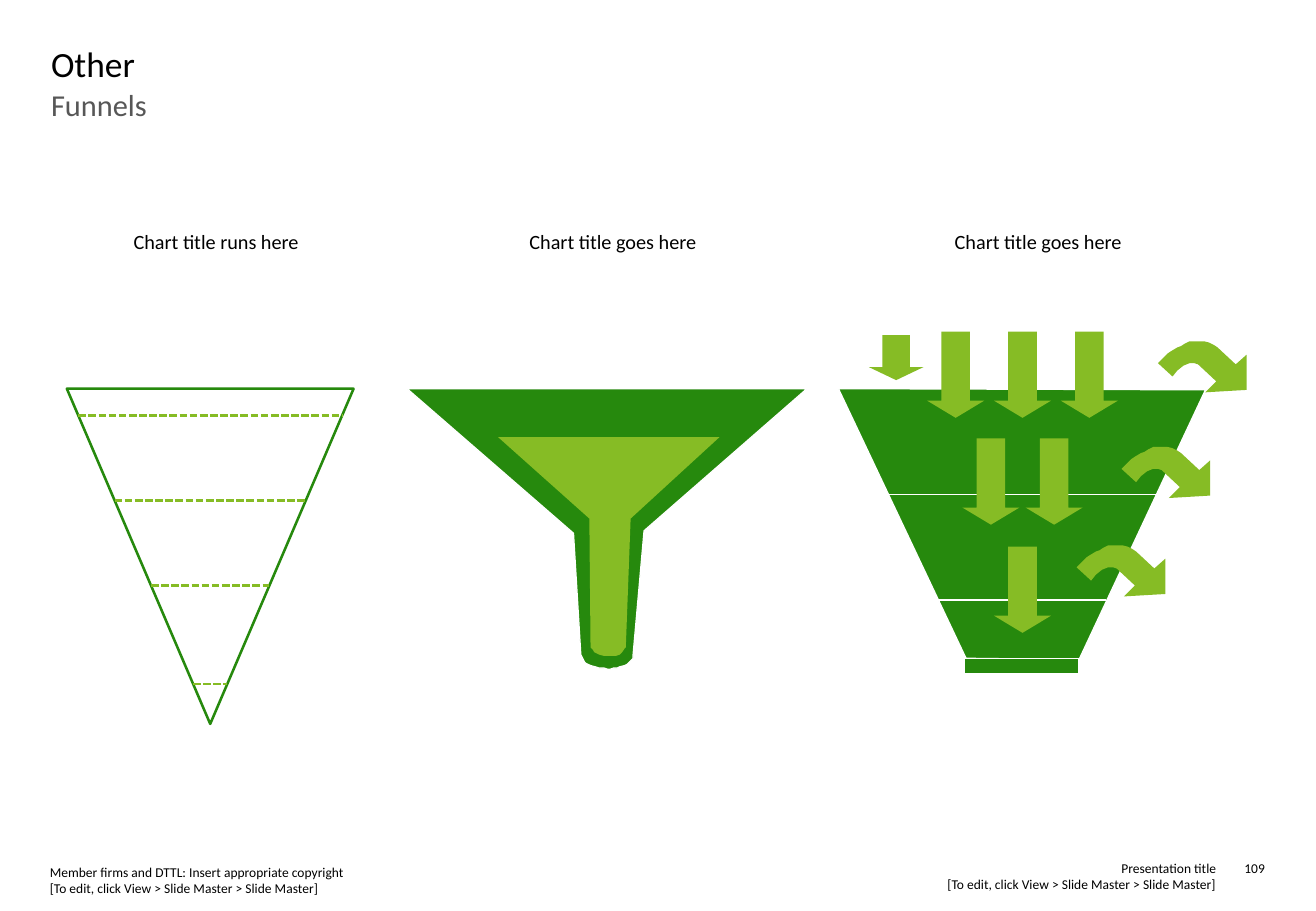
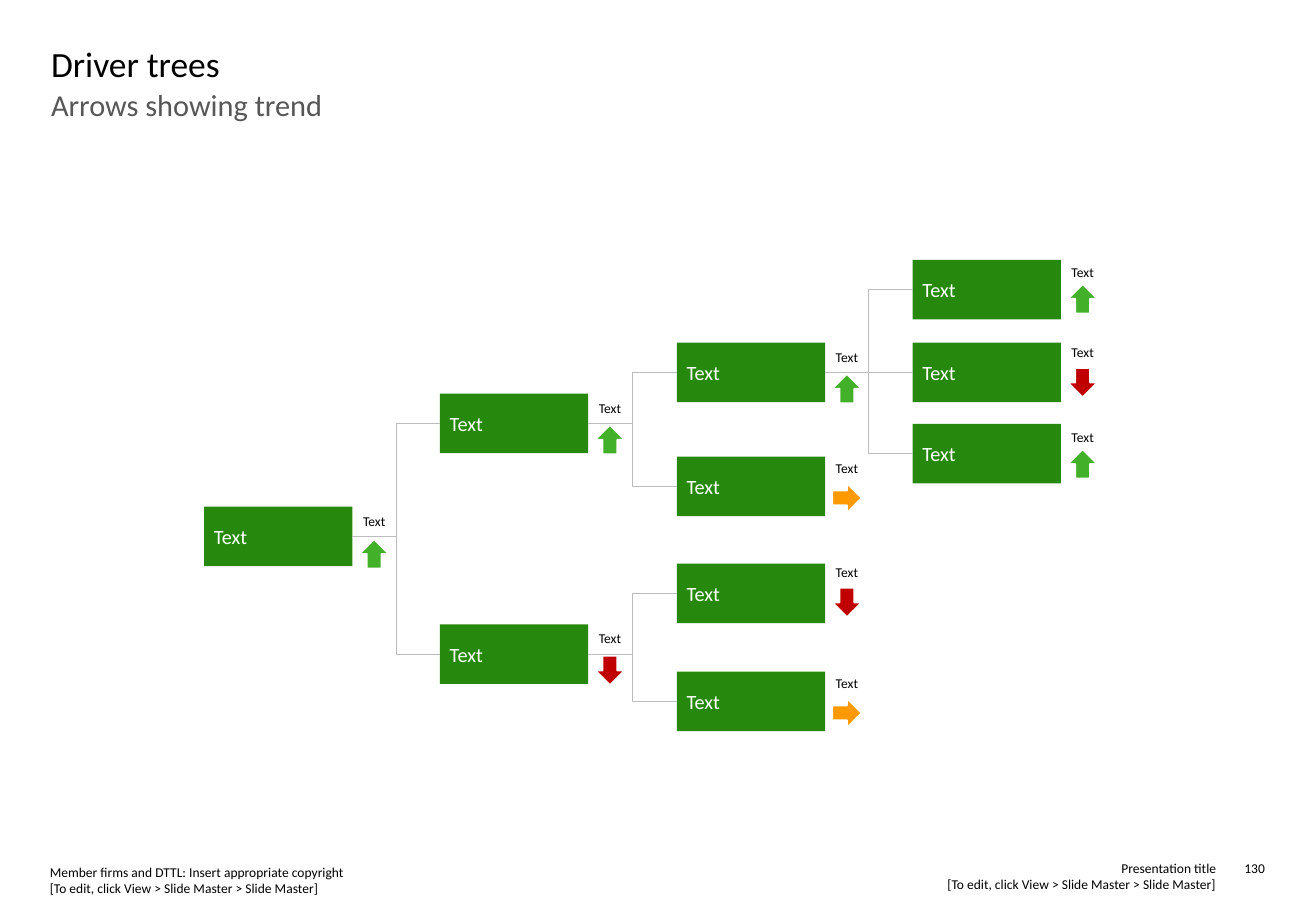
"""Build two slides: a set of funnels and a driver tree."""
from pptx import Presentation
from pptx.dml.color import RGBColor
from pptx.enum.dml import MSO_LINE
from pptx.enum.shapes import MSO_CONNECTOR, MSO_SHAPE
from pptx.enum.text import MSO_ANCHOR, MSO_AUTO_SIZE, PP_ALIGN
from pptx.oxml.xmlchemy import OxmlElement
from pptx.util import Pt

PX = 9144
FONT = "Calibri"
BLACK = RGBColor(0x00, 0x00, 0x00)
WHITE = RGBColor(0xFF, 0xFF, 0xFF)
GRAY = RGBColor(0x57, 0x57, 0x57)
SILVER = RGBColor(0xBB, 0xBC, 0xBC)
GREEN = RGBColor(0x26, 0x89, 0x0D)
LIME = RGBColor(0x86, 0xBC, 0x25)
LEAF = RGBColor(0x43, 0xB0, 0x2A)
RED = RGBColor(0xC0, 0x00, 0x00)
AMBER = RGBColor(0xFF, 0x99, 0x00)

HINT = "[To edit, click View > Slide Master > Slide Master]"
FOOTERS = [
    ("Presentation title\v" + HINT, (566, 708, 435, 27), PP_ALIGN.RIGHT),
    ("Member firms and DTTL: Insert appropriate copyright\v" + HINT,
     (41, 711, 476, 27), PP_ALIGN.LEFT),
]

HEADS = [
    ("Chart title runs here", (88, 189, 180, 18)),
    ("Chart title goes here", (378, 189, 253, 18)),
    ("Chart title goes here", (728, 189, 253, 18)),
]
CONE = (55, 320, 236, 276)
DASHES = [342, 412, 482, 563]
OUTER = [
    (335, 320), (472, 439), (478, 539), (479, 541), (480, 543), (481, 545),
    (482, 546), (484, 547), (486, 548), (490, 549), (493, 550), (497, 550),
    (500, 551), (502, 551), (505, 550), (508, 550), (510, 549), (514, 548),
    (516, 547), (518, 545), (519, 544), (521, 542), (521, 539), (530, 437),
    (664, 320),
]
INNER = [
    (410, 360), (485, 427), (486, 533), (488, 535), (489, 537), (491, 538),
    (493, 539), (497, 540), (501, 540), (504, 540), (507, 540), (510, 539),
    (512, 537), (514, 534), (515, 533), (519, 427), (592, 360),
]
BUCKET = [(690, 320), (795, 542), (888, 543), (992, 321)]
SPOUT = (794, 542, 94, 13)
SEAMS = [320, 407, 494]
DROPS = [(763, 273), (818, 273), (873, 273), (792, 361), (844, 361), (818, 450)]
BEND = [
    (73, 11), (73, 40), (39, 42), (48, 33), (33, 19), (30, 18), (26, 18),
    (21, 20), (16, 24), (12, 29), (0, 18), (8, 10), (11, 8), (16, 5),
    (19, 4), (22, 2), (26, 0), (30, 0), (35, 0), (38, 0), (42, 1),
    (46, 3), (49, 5), (64, 19),
]
EXITS = [(923, 368), (886, 449), (953, 281)]

TRENDS = {
    "up": (MSO_SHAPE.UP_ARROW, LEAF),
    "down": (MSO_SHAPE.DOWN_ARROW, RED),
    "flat": (MSO_SHAPE.RIGHT_ARROW, AMBER),
}
NODES = [
    (0, 417, 422, 444, "up", None),
    (1, 324, 329, 350, "up", 0),
    (1, 514, 519, 540, "down", 0),
    (2, 282, 287, 308, "up", 1),
    (2, 376, 379, 398, "flat", 1),
    (2, 464, 464, 484, "down", 2),
    (2, 553, 556, 575, "flat", 2),
    (3, 214, 217, 234, "up", 3),
    (3, 282, 283, 303, "down", 3),
    (3, 349, 353, 370, "up", 3),
]


def scale(*nums):
    return [round(num * PX) for num in nums]


def write(shape, text, size=8, color=BLACK, align=PP_ALIGN.LEFT,
          anchor=MSO_ANCHOR.TOP, inset=0):
    frame = shape.text_frame
    frame.word_wrap = True
    frame.auto_size = MSO_AUTO_SIZE.NONE
    frame.vertical_anchor = anchor
    frame.margin_left = frame.margin_right = inset * PX
    frame.margin_top = frame.margin_bottom = inset * PX
    para = frame.paragraphs[0]
    para.text = text
    para.alignment = align
    para.space_before = Pt(0)
    for run in para.runs:
        run.font.name = FONT
        run.font.size = Pt(size)
        run.font.color.rgb = color


def label(slide, text, box, **style):
    write(slide.shapes.add_textbox(*scale(*box)), text, **style)


def paint(shape, fill, edge=None, width=0.75):
    shape.shadow.inherit = False
    shape.fill.solid()
    shape.fill.fore_color.rgb = fill
    if edge is None:
        shape.line.fill.background()
    else:
        shape.line.color.rgb = edge
        shape.line.width = Pt(width)
    return shape


def block(slide, kind, box, fill, edge=None, width=0.75):
    return paint(slide.shapes.add_shape(kind, *scale(*box)), fill, edge, width)


def trace(slide, points, fill, edge=None):
    pen = slide.shapes.build_freeform(*points[0], scale=PX)
    pen.add_line_segments(points[1:], close=True)
    return paint(pen.convert_to_shape(), fill, edge)


def rule(slide, ends, color, width, kind=MSO_CONNECTOR.STRAIGHT):
    link = slide.shapes.add_connector(kind, *scale(*ends))
    link.line.color.rgb = color
    link.line.width = Pt(width)
    link._element.spPr.append(OxmlElement("a:effectLst"))
    return link


def place(shape, box):
    shape.left, shape.top, shape.width, shape.height = scale(*box)


def start(deck, title, lead, page):
    slide = deck.slides.add_slide(deck.slide_layouts[1])
    for text, box, align in FOOTERS + [(page, (1014, 708, 27, 13), PP_ALIGN.RIGHT)]:
        label(slide, text, box, align=align)
    head, body = slide.placeholders[0], slide.placeholders[1]
    place(head, (42, 33, 995, 38))
    write(head, title, size=21, anchor=MSO_ANCHOR.MIDDLE)
    place(body, (42, 71, 995, 83))
    props = body.text_frame.paragraphs[0]._p.get_or_add_pPr()
    props.set("marL", "0")
    props.set("indent", "0")
    props.append(OxmlElement("a:buNone"))
    write(body, lead, size=18, color=GRAY)
    return slide


def draw_cone(slide):
    left, top, width, height = CONE
    block(slide, MSO_SHAPE.ISOSCELES_TRIANGLE, CONE, WHITE, GREEN, 1.5).rotation = 180
    mid = left + width / 2
    for y in DASHES:
        half = width / 2 * (top + height - y) / height
        dash = rule(slide, (mid - half, y, mid + half, y), LIME, 1.5)
        dash.line.dash_style = MSO_LINE.SQUARE_DOT


def draw_bucket(slide):
    trace(slide, BUCKET, GREEN, WHITE)
    block(slide, MSO_SHAPE.RECTANGLE, SPOUT, GREEN, WHITE)
    (left, top), (low, base), (high, _), (right, _) = BUCKET
    for y in SEAMS:
        part = (y - top) / (base - top)
        ends = left + (low - left) * part, y, right + (high - right) * part, y
        rule(slide, ends, WHITE, 0.75)
    drops = [((715, 276, 45, 37), 0.29)] + [((x, y, 47, 71), 0.3) for x, y in DROPS]
    for box, tip in drops:
        block(slide, MSO_SHAPE.DOWN_ARROW, box, LIME).adjustments[1] = tip
    for left, top in EXITS:
        trace(slide, [(left + x, top + y) for x, y in BEND], LIME)


def draw_tree(slide):
    lefts = [round(168 + 194.4 * node[0]) for node in NODES]
    boxes = []
    for left, node in zip(lefts, NODES):
        box = block(slide, MSO_SHAPE.RECTANGLE, (left, node[1], 122, 49), GREEN)
        write(box, "Text", size=12, color=WHITE, anchor=MSO_ANCHOR.MIDDLE, inset=8)
        boxes.append(box)
    for box, node in zip(boxes, NODES):
        if node[-1] is not None:
            link = rule(slide, (0, 0, 0, 0), SILVER, 0.5, MSO_CONNECTOR.ELBOW)
            link.begin_connect(box, 1)
            link.end_connect(boxes[node[-1]], 3)
    for left, (_, _, text_y, mark_y, trend, _) in zip(lefts, NODES):
        label(slide, "Text", (left + 126, text_y, 28, 14), align=PP_ALIGN.CENTER)
        kind, color = TRENDS[trend]
        block(slide, kind, (left + 128, mark_y, 24, 24), color, WHITE, 1)


def main():
    deck = Presentation()
    deck.slide_width, deck.slide_height = scale(1083, 750)
    slide = start(deck, "Other", "Funnels", "109")
    for text, box in HEADS:
        label(slide, text, box, size=12, align=PP_ALIGN.CENTER)
    draw_cone(slide)
    trace(slide, OUTER, GREEN, WHITE)
    trace(slide, INNER, LIME)
    draw_bucket(slide)
    draw_tree(start(deck, "Driver trees", "Arrows showing trend", "130"))
    deck.save("out.pptx")


if __name__ == "__main__":
    main()
